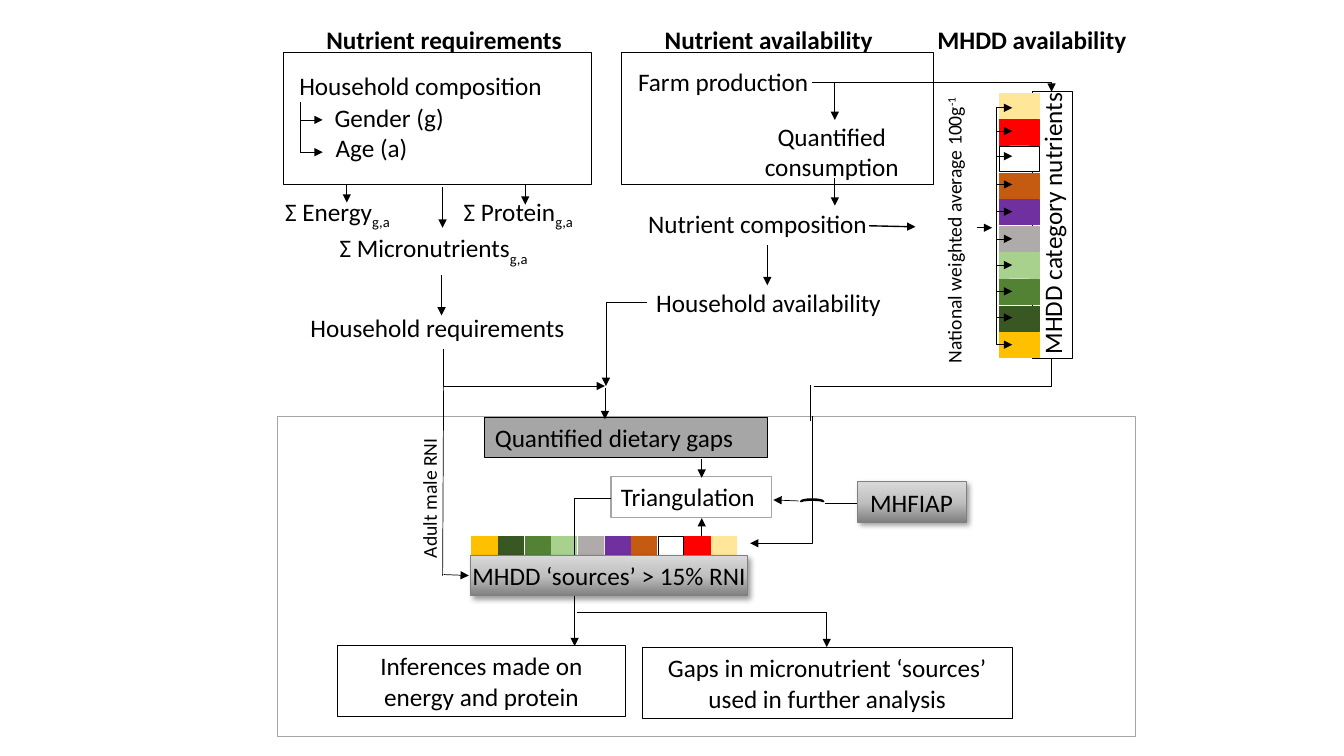
from pptx import Presentation
from pptx.dml.color import RGBColor
from pptx.enum.shapes import MSO_CONNECTOR as CONNECTOR, MSO_SHAPE as SHAPE
from pptx.enum.text import MSO_ANCHOR as ANCHOR, PP_ALIGN as ALIGN
from pptx.oxml import parse_xml
from pptx.oxml.ns import nsdecls, qn
from pptx.util import Inches, Pt

rgb = RGBColor.from_string
BLACK, GREY = "000000", "A5A5A5"
NAMESPACE = nsdecls("a")


def add_rectangle(shapes, place, fill=None, line=BLACK, weight=0.5):
    shape = shapes.add_shape(SHAPE.RECTANGLE, *map(Inches, place))
    shape.shadow.inherit = False
    if fill:
        shape.fill.solid()
        shape.fill.fore_color.rgb = rgb(fill)
    else:
        shape.fill.background()
    shape.line.color.rgb = rgb(line)
    shape.line.width = Pt(weight)
    return shape


def write_text(shape, text, script="", offset=0, size=18, bold=False,
               align=ALIGN.LEFT, wrap=True, **margins):
    """Fill a shape with text; script is a raised or lowered ending, offset in percent."""
    frame = shape.text_frame
    frame.word_wrap = wrap
    frame.vertical_anchor = ANCHOR.MIDDLE
    for name, value in margins.items():
        setattr(frame, name, Inches(value))
    paragraph = frame.paragraphs[0]
    paragraph.alignment = align
    for words in filter(None, (text, script)):
        run = paragraph.add_run()
        run.text = words
        for name, value in {"name": "Calibri", "size": Pt(size), "bold": bold}.items():
            setattr(run.font, name, value)
        run.font.color.rgb = rgb(BLACK)
    if script:
        run.font._element.set("baseline", str(offset * 1000))


presentation = Presentation()
presentation.slide_width = Inches(13.33)
presentation.slide_height = Inches(7.5)
slide = presentation.slides.add_slide(presentation.slide_layouts[6])
shapes = slide.shapes

# Boxes: place, text, look, text format
centred = {"align": ALIGN.CENTER}
boxes = [
    ((2.75, 4.13, 8.51, 3.18), "", {"fill": "FFFFFF", "line": GREY, "weight": 1}, {}),
    ((2.81, 0.52, 3.06, 1.31), "", {}, {}),
    ((6.16, 0.52, 3.1, 1.31), "", {}, {}),
    ((4.81, 4.14, 2.8, 0.4), "Quantified dietary gaps",
     {"fill": "A6A6A6", "weight": 0.75}, {}),
    ((6.06, 4.73, 1.59, 0.4), "Triangulation", {"line": GREY, "weight": 0.75}, {}),
    ((3.35, 6.4, 2.85, 0.71), "Inferences made on energy and protein", {}, centred),
    ((6.37, 6.42, 3.67, 0.71), "Gaps in micronutrient ‘sources’ used in further analysis",
     {}, centred),
]
for place, text, look, text_format in boxes:
    box = add_rectangle(shapes, place, **look)
    if text:
        write_text(box, text, **text_format)

category_box = add_rectangle(shapes, (9.11, 2.03, 2.65, 0.4))
category_box.rotation = 270
write_text(category_box, "MHDD category nutrients", wrap=False,
           margin_left=0.04, margin_right=0)

# Food group swatches: a column read upwards and a row read rightwards
food_groups = ["FFC000", "385723", "548235", "A9D18E", "AFABAB",
               "7030A0", "C55A11", "FFFFFF", "FF0000", "FFE699"]
column = shapes.add_group_shape().shapes
row = shapes.add_group_shape().shapes
for index, colour in enumerate(food_groups):
    step = index * 2.375 / 9
    outline = BLACK if colour == "FFFFFF" else colour
    add_rectangle(column, (9.91, 3.3 - step, 0.4, 0.25), colour, outline)
    add_rectangle(row, (4.68 + step, 5.32, 0.25, 0.4), colour, outline)

# Lines: start, end, arrow end, weight
arrows = [
    (4.39, 1.86, 4.39, 2.26), (3.44, 1.83, 3.44, 2.01), (5.21, 1.84, 5.21, 2.03),
    (4.38, 2.73, 4.38, 3.13), (8.28, 1.77, 8.28, 2.04), (8.28, 0.82, 8.28, 1.19),
    (7.61, 2.43, 7.61, 2.83), (2.98, 1.19, 3.2, 1.19), (2.98, 1.51, 3.2, 1.51),
    (6, 3.85, 6, 4.16), (4.4, 5.7, 4.65, 5.71), (9.69, 2.26, 9.84, 2.26),
    (7.92, 4.97, 7.67, 4.96),
]
arrows += [(9.88, y, 10.04, y)
           for y in (1.07, 1.3, 1.55, 1.83, 2.1, 2.37, 2.63, 2.89, 3.15, 3.42)]
thick_arrows = [(8.62, 2.24, 9.08, 2.25), (6.96, 4.55, 6.96, 4.74), (6.96, 5.32, 6.96, 5.14)]
plain_lines = [
    (2.98, 1.01, 2.98, 1.51), (8.05, 0.82, 8.16, 0.82), (9.88, 1.07, 9.88, 3.42),
    (4.4, 3.83, 4.39, 5.71), (8.18, 4.99, 8.7, 4.99), (8.04, 4.18, 8.04, 3.82),
]
# Elbows run sideways first, then up or down
elbows_to_end = [(6.06, 4.94, 5.7, 6.41), (8.16, 0.82, 10.43, 0.91),
                 (6.42, 3, 6.01, 3.83), (5.72, 6.08, 8.2, 6.42)]
elbows_to_start = [(7.44, 5.39, 8.06, 4.13), (6, 3.83, 4.4, 3.46)]
plain_elbows = [(8.07, 3.83, 10.43, 3.55)]
line_sets = [
    (elbows_to_end, CONNECTOR.ELBOW, "tailEnd", 0.5),
    (elbows_to_start, CONNECTOR.ELBOW, "headEnd", 0.5),
    (plain_elbows, CONNECTOR.ELBOW, None, 0.5),
    (arrows, CONNECTOR.STRAIGHT, "tailEnd", 0.5),
    (thick_arrows, CONNECTOR.STRAIGHT, "tailEnd", 1),
    (plain_lines, CONNECTOR.STRAIGHT, None, 0.5),
]
for routes, kind, arrow_end, weight in line_sets:
    for route in routes:
        connector = shapes.add_connector(kind, *map(Inches, route))
        connector.line.color.rgb = rgb(BLACK)
        connector.line.width = Pt(weight)
        properties = connector._element.spPr
        if kind == CONNECTOR.ELBOW:
            properties.find(qn("a:prstGeom")).set("prst", "bentConnector2")
        if arrow_end:
            properties.find(qn("a:ln")).append(
                parse_xml(f'<a:{arrow_end} {NAMESPACE} type="triangle"/>'))
        properties.append(parse_xml(f"<a:effectLst {NAMESPACE}/>"))

line_hop = shapes.add_shape(SHAPE.BLOCK_ARC, *map(Inches, (7.94, 4.95, 0.23, 0.05)))
line_hop.shadow.inherit = False
line_hop.fill.solid()
line_hop.fill.fore_color.rgb = rgb(BLACK)
line_hop.line.color.rgb = rgb(BLACK)
line_hop.line.width = Pt(1)

# Raised boxes with a grey gradient and a soft shadow
raised_boxes = [
    ((4.67, 5.51, 2.74, 0.4), "MHDD ‘sources’ > 15% RNI",
     {"wrap": False, "margin_left": 0, "margin_right": 0}),
    ((8.5, 4.78, 1.08, 0.4), "MHFIAP", {}),
]
stops = "".join(f'<a:gs pos="{position}000"><a:srgbClr val="{colour}"/></a:gs>'
                for position, colour in ((0, "D9D9D9"), (51, "BFBFBF"), (100, "808080")))
for place, text, text_format in raised_boxes:
    box = add_rectangle(shapes, place, line="808080")
    properties = box._element.spPr
    properties.replace(properties.find(qn("a:noFill")), parse_xml(
        f'<a:gradFill {NAMESPACE}><a:gsLst>{stops}</a:gsLst>'
        '<a:lin ang="5400000" scaled="0"/></a:gradFill>'))
    properties.find(qn("a:effectLst")).append(parse_xml(
        f'<a:outerShdw {NAMESPACE} blurRad="{Pt(4)}" dist="{Pt(3)}" dir="2700000">'
        f'<a:srgbClr val="{BLACK}"><a:alpha val="40000"/></a:srgbClr></a:outerShdw>'))
    write_text(box, text, align=ALIGN.CENTER, **text_format)

# Free labels: place, text, rotation, text format
heading = {"bold": True, "align": ALIGN.CENTER}
lowered = {"script": "g,a", "offset": -25}
labels = [
    ((2.81, 0.19, 3.19, 0.4), "Nutrient requirements", 0, heading),
    ((6.01, 0.19, 3.23, 0.4), "Nutrient availability", 0, heading),
    ((8.62, 0.19, 3.23, 0.4), "MHDD availability", 0, heading),
    ((2.87, 0.65, 2.83, 0.4), "Household composition", 0, {}),
    ((3.22, 0.97, 2.24, 0.4), "Gender (g)", 0, {}),
    ((3.23, 1.26, 2.19, 0.4), "Age (a)", 0, {}),
    ((2.73, 1.92, 1.43, 0.4), "Σ Energy", 0, lowered),
    ((4.5, 1.92, 1.49, 0.4), "Σ Protein", 0, lowered),
    ((3.27, 2.28, 2.34, 0.4), "Σ Micronutrients", 0, lowered),
    ((2.98, 3.05, 2.83, 0.4), "Household requirements", 0, {}),
    ((6.23, 0.61, 1.91, 0.4), "Farm production", 0, {}),
    ((7.38, 1.15, 1.74, 0.71), "Quantified consumption", 0, centred),
    ((6.33, 2.02, 2.47, 0.4), "Nutrient composition", 0, {}),
    ((6.41, 2.8, 2.48, 0.4), "Household availability", 0, {}),
    ((8.03, 2.1, 2.86, 0.34), "National weighted average 100g", 270,
     {"script": "-1", "offset": 30, "size": 14}),
    ((3.56, 4.77, 1.39, 0.34), "Adult male RNI", 270, {"size": 14}),
]
for place, text, rotation, text_format in labels:
    label = shapes.add_textbox(*map(Inches, place))
    label.rotation = rotation
    write_text(label, text, **text_format)

presentation.save("out.pptx")
